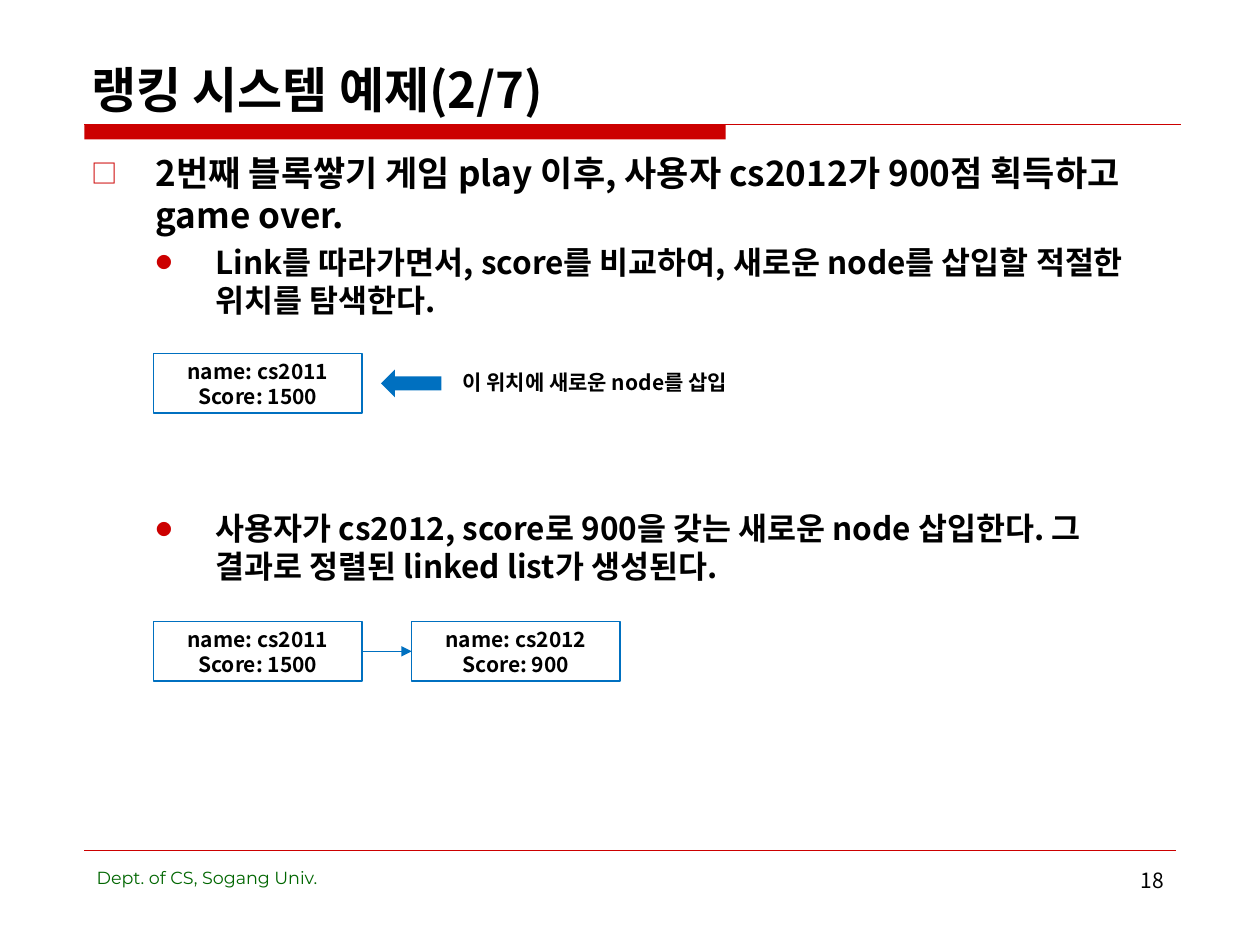
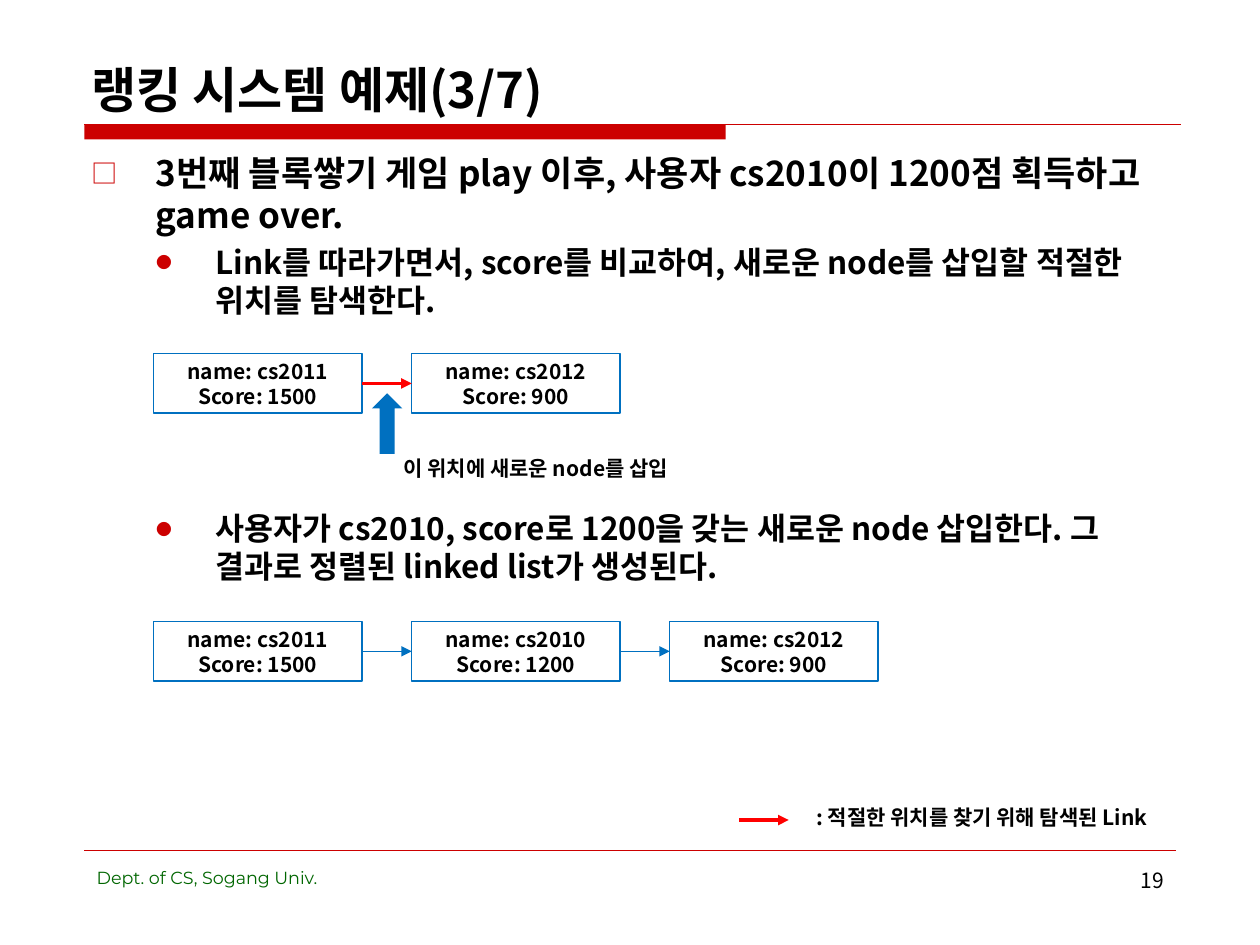
from lxml import etree
from pptx import Presentation
from pptx import util as u
from pptx.dml import color
from pptx.enum import shapes, text
from pptx.oxml import ns

KOREAN, LATIN = "Noto Sans CJK KR", "Montserrat"
RED, BLUE, BRIGHT_RED, GREEN, BLACK = "CC0000", "0070C0", "FF0000", "006600", "000000"

TITLE = {"size": u.Pt(28), "bold": True, "name": KOREAN}
TOPIC = {"size": u.Pt(20), "bold": True, "name": KOREAN}
STEP = {"size": u.Pt(18), "bold": True, "name": KOREAN}
NOTE = {"size": u.Pt(12), "bold": True, "name": KOREAN}
PAGE = {"size": u.Pt(12), "bold": False, "name": KOREAN}
DEPT = {"size": u.Pt(10), "bold": False, "name": LATIN}

LEFT, MIDDLE, RIGHT = text.PP_ALIGN.LEFT, text.PP_ALIGN.CENTER, text.PP_ALIGN.RIGHT
NODE_LEFT, NODE_WIDTH, NODE_HEIGHT, NODE_PITCH = 3.1, 4.2, 1.2, 5.2
SEARCH_TOP, RESULT_TOP = 7.13, 12.53
INSERT_HERE = "이 위치에 새로운 node를 삽입"
SEARCH_STEP = "Link를 따라가면서, score를 비교하여, 새로운 node를 삽입할 적절한 위치를 탐색한다."


def rgb(value):
    return color.RGBColor.from_string(value)


def sub(parent, tag, **attributes):
    return etree.SubElement(parent, ns.qn(tag), attributes)


def write(paragraph, words, style, ink=BLACK, align=LEFT):
    paragraph.alignment = align
    run = paragraph.add_run()
    run.text = words
    for key, value in style.items():
        setattr(run.font, key, value)
    run.font.color.rgb = rgb(ink)
    sub(run.font._element, "a:ea", typeface=style["name"])


def add_label(slide, box, words, style, ink=BLACK, align=LEFT,
              anchor=text.MSO_ANCHOR.TOP, wrap=True):
    frame = slide.shapes.add_textbox(*map(u.Cm, box)).text_frame
    frame.word_wrap = wrap
    frame.vertical_anchor = anchor
    write(frame.paragraphs[0], words, style, ink, align)


def add_note(slide, box, words):
    add_label(slide, box, words, NOTE, align=MIDDLE,
              anchor=text.MSO_ANCHOR.MIDDLE, wrap=False)


def add_block(slide, kind, box, fill):
    block = slide.shapes.add_shape(kind, *map(u.Cm, box))
    block.shadow.inherit = False
    block.fill.solid()
    block.fill.fore_color.rgb = rgb(fill)
    block.line.fill.background()


def add_line(slide, ends, ink, width, arrow=False):
    line = slide.shapes.add_connector(shapes.MSO_CONNECTOR.STRAIGHT, *map(u.Cm, ends))
    line.line.color.rgb = rgb(ink)
    line.line.width = u.Pt(width)
    if arrow:
        sub(line.line._get_or_add_ln(), "a:tailEnd", type="triangle")
    sub(line._element.spPr, "a:effectLst")
    return line


def add_node(slide, left, top, name, score):
    node = slide.shapes.add_shape(
        shapes.MSO_SHAPE.RECTANGLE, *map(u.Cm, (left, top, NODE_WIDTH, NODE_HEIGHT)))
    node.shadow.inherit = False
    node.fill.background()
    node.line.color.rgb = rgb(BLUE)
    node.line.width = u.Pt(0.75)
    frame = node.text_frame
    frame.word_wrap = False
    frame.vertical_anchor = text.MSO_ANCHOR.MIDDLE
    write(frame.paragraphs[0], f"name: {name}", NOTE, align=MIDDLE)
    write(frame.add_paragraph(), f"Score: {score}", NOTE, align=MIDDLE)
    return node


def add_linked_list(slide, top, records, ink=BLUE, width=0.75):
    """Draw the nodes in a row, each linked to the next by an arrow."""
    nodes = [add_node(slide, NODE_LEFT + i * NODE_PITCH, top, *record)
             for i, record in enumerate(records)]
    for node, following in zip(nodes, nodes[1:]):
        link = add_line(slide, (0, 0, 0, 0), ink, width, arrow=True)
        link.begin_connect(node, 3)
        link.end_connect(following, 1)


def add_bullet(paragraph, words, style, mark, mark_size, margin, hanging, before):
    properties = paragraph._p.get_or_add_pPr()
    properties.set("marL", str(u.Cm(margin)))
    properties.set("indent", str(-u.Cm(hanging)))
    paragraph.space_before = u.Pt(before)
    sub(sub(properties, "a:buClr"), "a:srgbClr", val=RED)
    sub(properties, "a:buSzPct", val=str(mark_size * 1000))
    sub(properties, "a:buFont", typeface=KOREAN)
    sub(properties, "a:buChar", char=mark)
    write(paragraph, words, style)


def add_body(slide, topic, result):
    frame = slide.shapes.add_textbox(*map(u.Cm, (1.59, 2.92, 22.22, 13.79))).text_frame
    frame.word_wrap = True
    add_bullet(frame.paragraphs[0], topic, TOPIC, "□", 75, 1.3, 1.3, 0)
    for step, before in ((SEARCH_STEP, 4.5), (result, 109)):
        add_bullet(frame.add_paragraph(), step, STEP, "●", 50, 2.51, 1.2, before)


def add_page(deck, part, number, topic, result):
    """Start a slide with its title, rules, footer and bullets."""
    slide = deck.slides.add_slide(deck.slide_layouts[6])
    add_block(slide, shapes.MSO_SHAPE.RECTANGLE, (1.7, 2.51, 12.93, 0.3), RED)
    add_line(slide, (1.7, 2.51, 23.8, 2.51), RED, 0.75)
    add_line(slide, (1.7, 17.14, 23.7, 17.14), RED, 0.25)
    add_label(slide, (1.6, 0.84, 22.22, 1.68), f"랭킹 시스템 예제({part}/7)", TITLE,
              anchor=text.MSO_ANCHOR.BOTTOM)
    add_label(slide, (1.7, 17.35, 9.02, 1.32), "Dept. of CS, Sogang Univ.", DEPT, GREEN)
    add_label(slide, (18.21, 17.36, 5.5, 1.32), str(number), PAGE, align=RIGHT)
    add_body(slide, topic, result)
    return slide


def main():
    deck = Presentation()
    deck.slide_width, deck.slide_height = u.Cm(25.4), u.Cm(19.05)
    first, second, third = ("cs2011", 1500), ("cs2012", 900), ("cs2010", 1200)

    slide = add_page(
        deck, 2, 18,
        "2번째 블록쌓기 게임 play 이후, 사용자 cs2012가 900점 획득하고 game over.",
        "사용자가 cs2012, score로 900을 갖는 새로운 node 삽입한다. "
        "그 결과로 정렬된 linked list가 생성된다.")
    add_linked_list(slide, SEARCH_TOP, [first])
    add_block(slide, shapes.MSO_SHAPE.LEFT_ARROW, (7.68, 7.45, 1.22, 0.56), BLUE)
    add_note(slide, (8.89, 7.21, 6.2, 0.99), INSERT_HERE)
    add_linked_list(slide, RESULT_TOP, [first, second])

    slide = add_page(
        deck, 3, 19,
        "3번째 블록쌓기 게임 play 이후, 사용자 cs2010이 1200점 획득하고 game over.",
        "사용자가 cs2010, score로 1200을 갖는 새로운 node 삽입한다. "
        "그 결과로 정렬된 linked list가 생성된다.")
    add_linked_list(slide, SEARCH_TOP, [first, second], BRIGHT_RED, 2)
    add_block(slide, shapes.MSO_SHAPE.UP_ARROW, (7.5, 7.93, 0.61, 1.22), BLUE)
    add_note(slide, (7.7, 8.94, 6.2, 0.99), INSERT_HERE)
    add_linked_list(slide, RESULT_TOP, [first, third, second])
    add_line(slide, (14.9, 16.53, 15.9, 16.53), BRIGHT_RED, 2, arrow=True)
    add_note(slide, (16.1, 15.98, 7.39, 0.99), ": 적절한 위치를 찾기 위해 탐색된 Link")

    deck.save("out.pptx")


if __name__ == "__main__":
    main()
